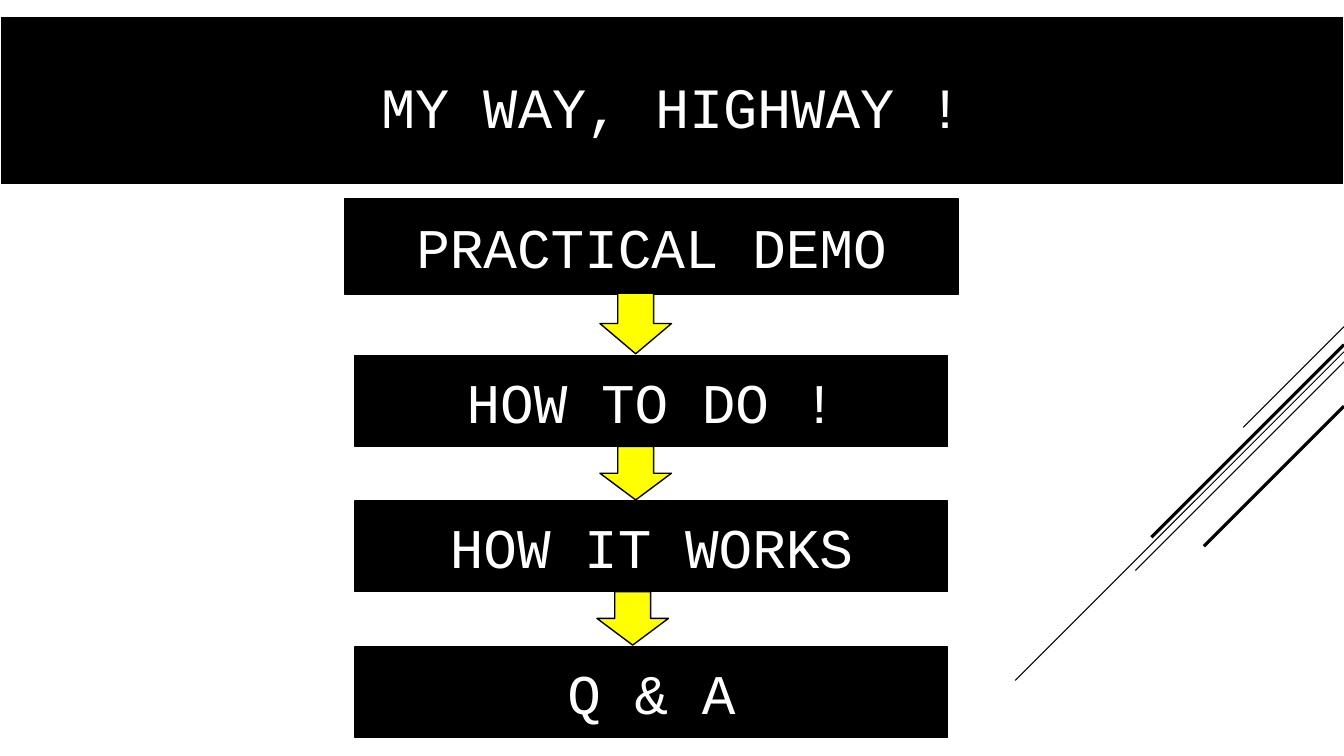
from dataclasses import dataclass

from lxml import etree
from pptx import Presentation
from pptx.dml.color import RGBColor
from pptx.enum.shapes import MSO_CONNECTOR, MSO_SHAPE
from pptx.enum.text import MSO_ANCHOR, PP_ALIGN
from pptx.oxml.ns import qn
from pptx.util import Inches, Pt

RECTANGLE = MSO_SHAPE.RECTANGLE
DOWN_ARROW = MSO_SHAPE.DOWN_ARROW
STRAIGHT = MSO_CONNECTOR.STRAIGHT
MIDDLE = MSO_ANCHOR.MIDDLE
CENTER = PP_ALIGN.CENTER

FONT = "Courier New"
COLORS = {"black": "000000", "white": "FFFFFF", "yellow": "FFFF00"}
SLIDE_WIDTH = 13.33
SLIDE_HEIGHT = 7.5
ARROW_WIDTH = 0.71


@dataclass(frozen=True)
class Banner:
    text: str
    left: float
    top: float
    width: float
    height: float
    size: float = 40
    border: str = "black"
    border_width: float = 1
    top_inset: float = 0.05


@dataclass(frozen=True)
class StepArrow:
    left: float
    top: float
    height: float


@dataclass(frozen=True)
class Stripe:
    edge_y: float
    reach: float
    weight: float


TITLE = Banner("MY WAY, HIGHWAY !", 0, 0.16, SLIDE_WIDTH, 1.68,
               size=40.7, border="white", border_width=1.5, top_inset=0.15)
STEPS = [
    Banner("PRACTICAL DEMO", 3.42, 1.97, 6.08, 0.95),
    Banner("HOW TO DO !", 3.52, 3.53, 5.88, 0.9),
    Banner("HOW IT WORKS", 3.52, 4.97, 5.88, 0.9),
    Banner("Q & A", 3.52, 6.42, 5.88, 0.9),
]
STEP_ARROWS = [
    StepArrow(5.95, 2.91, 0.6),
    StepArrow(5.95, 4.43, 0.53),
    StepArrow(5.92, 5.87, 0.53),
]
STRIPES = [
    Stripe(3.24, 1.0, 0.75),
    Stripe(3.49, 3.26, 0.75),
    Stripe(3.59, 2.07, 0.75),
    Stripe(3.42, 1.91, 2.25),
    Stripe(4.03, 1.39, 2.25),
]


def rgb(color: str) -> RGBColor:
    return RGBColor.from_string(COLORS[color])


def write_text(shape, text: str, *, size: float, color: str = "white",
               top_inset: float = 0.05) -> None:
    frame = shape.text_frame
    frame.word_wrap = True
    frame.vertical_anchor = MIDDLE
    frame.margin_top = Inches(top_inset)
    paragraph = frame.paragraphs[0]
    paragraph.alignment = CENTER
    run = paragraph.add_run()
    run.text = text
    run.font.name = FONT
    run.font.size = Pt(size)
    run.font.color.rgb = rgb(color)


def draw_block(slide, preset, left: float, top: float, width: float, height: float,
               *, fill: str, border: str = "black", border_width: float = 1):
    block = slide.shapes.add_shape(
        preset, Inches(left), Inches(top), Inches(width), Inches(height))
    block.shadow.inherit = False
    block.fill.solid()
    block.fill.fore_color.rgb = rgb(fill)
    block.line.color.rgb = rgb(border)
    block.line.width = Pt(border_width)
    return block


def draw_banner(slide, banner: Banner) -> None:
    block = draw_block(slide, RECTANGLE, banner.left, banner.top, banner.width,
                       banner.height, fill="black", border=banner.border,
                       border_width=banner.border_width)
    write_text(block, banner.text, size=banner.size, top_inset=banner.top_inset)


def draw_stripe(slide, stripe: Stripe) -> None:
    line = slide.shapes.add_connector(
        STRAIGHT, Inches(SLIDE_WIDTH), Inches(stripe.edge_y),
        Inches(SLIDE_WIDTH - stripe.reach), Inches(stripe.edge_y + stripe.reach))
    line.line.color.rgb = rgb("black")
    line.line.width = Pt(stripe.weight)
    etree.SubElement(line._element.spPr, qn("a:effectLst"))


def main() -> None:
    deck = Presentation()
    deck.slide_width = Inches(SLIDE_WIDTH)
    deck.slide_height = Inches(SLIDE_HEIGHT)
    slide = deck.slides.add_slide(deck.slide_layouts[6])
    for stripe in STRIPES:
        draw_stripe(slide, stripe)
    for banner in [TITLE, *STEPS]:
        draw_banner(slide, banner)
    for arrow in STEP_ARROWS:
        draw_block(slide, DOWN_ARROW, arrow.left, arrow.top, ARROW_WIDTH,
                   arrow.height, fill="yellow")
    deck.save("out.pptx")


if __name__ == "__main__":
    main()
